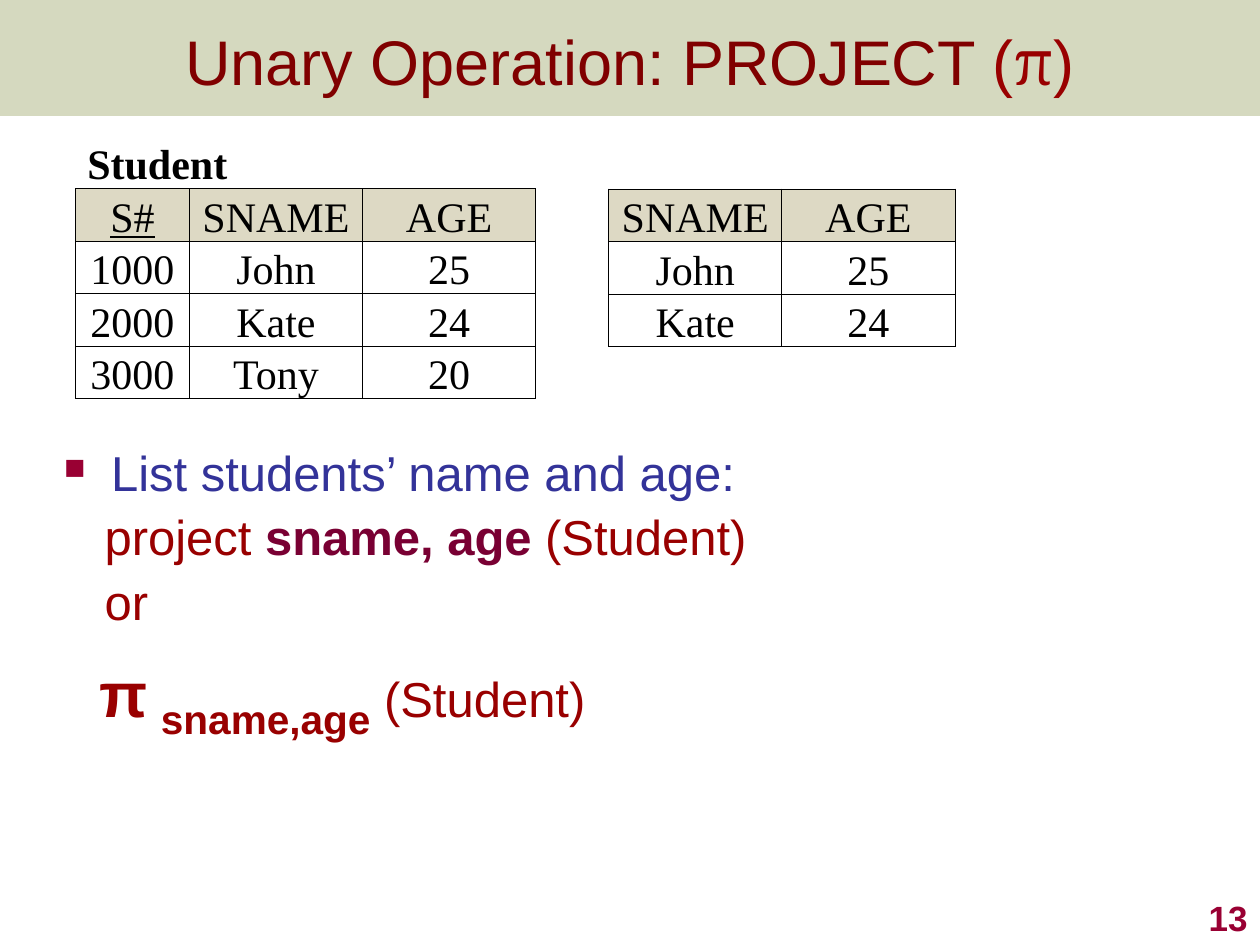
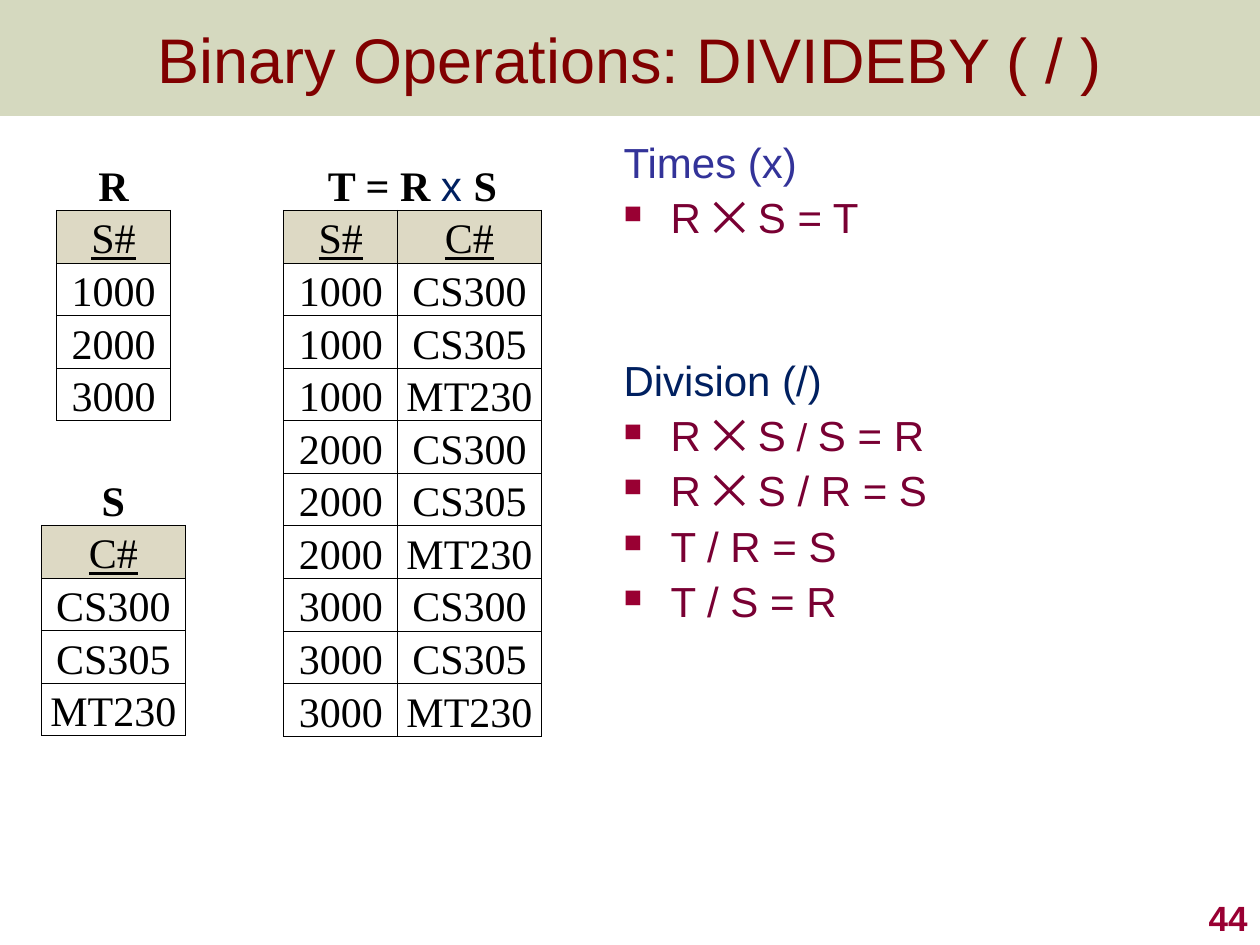
from lxml import etree
from pptx import Presentation
from pptx.dml.color import RGBColor
from pptx.enum import shapes, text
from pptx.oxml import ns
from pptx.util import Cm, Pt

RED, PLUM, BLUE, NAVY = "990000", "790033", "333399", "002060"
TITLE, ROSE, OLIVE, SAND = "800000", "990033", "76822E", "DDD9C4"
SERIF = dict(name="Times New Roman", size=24, hue="000000")
HEAD = dict(SERIF, bold=True)
WIDE, TALL, BAND = 25.4, 19.05, 2.34
ROW, NUM, NAME, CODE = 1.06, 2.3, 3.49, 2.89

# Content: a run is (text, font); a line is (runs, layout)
ids = ["1000", "2000", "3000"]
codes = ["CS300", "CS305", "MT230"]
people = [("John", "25"), ("Kate", "24"), ("Tony", "20")]


def rule(words):
    return [(words, dict(hue=PLUM, size=24))], dict(bullet=True)


SLIDES = [
    dict(
        title=[("Unary Operation: PROJECT ", dict(hue=TITLE)), ("(", dict(hue=RED)),
               ("π", dict(hue=RED, name="Cambria")), (")", dict(hue=RED))],
        drop=0.08,
        page="13",
        body=(1.04, 8.92, 24.1, 7.82),
        lines=[
            ([("List students’ name and age:", dict(hue=BLUE))], dict(bullet=True)),
            ([("project ", {}), ("sname, age ", dict(hue=PLUM, bold=True)),
              ("(Student)", {})], dict(left=0.82)),
            ([("or", {})], dict(left=0.82)),
            ([("π", dict(size=36, bold=True)), (" ", {}),
              ("sname,age", dict(size=40, bold=True, sub=True)),
              (" (Student)", {})], dict(left=0.71, before=10)),
        ],
        gap=6.7,
        tables=[
            dict(at=(1.52, 2.74), cols=[NUM, NAME, NAME], label=[("Student", HEAD)],
                 span=2, rows=[("S#", "SNAME", "AGE")]
                 + [(i, *who) for i, who in zip(ids, people)]),
            dict(at=(12.27, 3.81), cols=[NAME, NAME],
                 rows=[("SNAME", "AGE")] + people[:2]),
        ],
    ),
    dict(
        title=[("Binary Operations: DIVIDEBY ( / )", dict(hue=TITLE))],
        drop=0,
        page="44",
        body=(12.32, 2.74, 12.45, 15.24),
        lines=[
            ([("Times (x)", dict(hue=BLUE, size=24))], {}),
            rule("R ⨉ S = T"),
            ([("Division (/)", dict(hue=NAVY, size=24))], dict(before=67)),
            ([("R ⨉ S", dict(hue=PLUM, size=24)), (" / ", dict(hue=PLUM, size=22)),
              ("S = R", dict(hue=PLUM, size=24))], dict(bullet=True)),
            rule("R ⨉ S / R = S"),
            rule("T / R = S"),
            rule("T / S = R"),
        ],
        gap=5.7,
        tables=[
            dict(at=(1.14, 3.18), cols=[NUM], label=[("R", HEAD)],
                 rows=[("S#",)] + [(i,) for i in ids]),
            dict(at=(0.84, 9.53), cols=[CODE], label=[("S", HEAD)],
                 rows=[("C#",)] + [(c,) for c in codes]),
            dict(at=(5.72, 3.18), cols=[NUM, CODE], span=2,
                 label=[("T = R ", HEAD), ("x ", dict(size=24, hue=NAVY)), ("S", HEAD)],
                 rows=[("S#", "C#")] + [(i, c) for i in ids for c in codes]),
        ],
    ),
]


def rgb(code):
    return RGBColor.from_string(code)


def sub(parent, tag, **attrs):
    return etree.SubElement(parent, ns.qn("a:" + tag), **attrs)


def write(para, runs, **base):
    for words, font in runs:
        look = {**dict(name="Arial", size=28, hue=RED), **base, **font}
        run = para.add_run()
        run.text = words
        run.font.name, run.font.size = look["name"], Pt(look["size"])
        run.font.color.rgb = rgb(look["hue"])
        run.font.bold = look.get("bold", False)
        run.font.underline = look.get("line", False)
        if look.get("sub"):
            run._r.get_or_add_rPr().set("baseline", "-25000")


def box(slide, place, anchor):
    frame = slide.shapes.add_textbox(*map(Cm, place)).text_frame
    frame.word_wrap = True
    frame.vertical_anchor = anchor
    return frame


def frame_up(slide, title, drop, page):
    # Band, title and page number
    band = slide.shapes.add_shape(shapes.MSO_SHAPE.RECTANGLE, 0, 0, Cm(WIDE), Cm(BAND))
    band.shadow.inherit = False
    band.line.fill.background()
    band.fill.solid()
    band.fill.fore_color.rgb = rgb(OLIVE)
    sub(band.fill._xPr.find(".//" + ns.qn("a:srgbClr")), "alpha", val="30000")

    para = box(slide, (0, drop, WIDE, BAND - drop), text.MSO_ANCHOR.MIDDLE).paragraphs[0]
    para.alignment = text.PP_ALIGN.CENTER
    write(para, title, size=36)

    para = box(slide, (20.12, 17.78, 5.28, 1.27), text.MSO_ANCHOR.BOTTOM).paragraphs[0]
    para.alignment = text.PP_ALIGN.RIGHT
    write(para, [(page, dict(size=20, hue=ROSE, bold=True))])


def fill_body(slide, place, lines, gap):
    frame = box(slide, place, text.MSO_ANCHOR.TOP)
    frame.margin_right = 0
    for i, (runs, form) in enumerate(lines):
        para = frame.add_paragraph() if i else frame.paragraphs[0]
        para.line_spacing = 0.9
        if i:
            para.space_before = Pt(form.get("before", gap))
        props = para._p.get_or_add_pPr()
        left = Cm(form.get("left", 0))
        if form.get("bullet"):
            left = Cm(0.95)
            props.set("indent", str(-left))
            sub(sub(props, "buClr"), "srgbClr", val=ROSE)
            sub(props, "buSzPct", val="60000")
            sub(props, "buChar", char="■")
        props.set("marL", str(left))
        write(para, runs)


def style(cell, hue, sides):
    # Thin black borders on the named sides, none on the others
    props = cell._tc.get_or_add_tcPr()
    for side in "LRTB":
        line = sub(props, "ln" + side, w=str(Pt(0.5)))
        if side in sides:
            sub(sub(line, "solidFill"), "srgbClr", val="000000")
        else:
            sub(line, "noFill")
    cell.fill.solid()
    cell.fill.fore_color.rgb = rgb(hue)
    cell.vertical_anchor = text.MSO_ANCHOR.BOTTOM
    cell.margin_left = cell.margin_right = cell.margin_top = Cm(0.03)
    cell.margin_bottom = 0


def add_grid(slide, at, cols, rows, label=None, span=1):
    top = 1 if label else 0
    count = len(rows) + top
    grid = slide.shapes.add_table(count, len(cols), *map(Cm, at),
                                  Cm(sum(cols)), Cm(ROW * count)).table
    grid.first_row = grid.horz_banding = False
    for col, width in zip(grid.columns, cols):
        col.width = Cm(width)
    for row in grid.rows:
        row.height = Cm(ROW)

    # Caption row
    if label:
        for c in range(len(cols)):
            style(grid.cell(0, c), "FFFFFF", "B")
        first = grid.cell(0, 0)
        if span > 1:
            first.merge(grid.cell(0, span - 1))
        para = first.text_frame.paragraphs[0]
        if span < len(cols):
            first.margin_left = Cm(0.24)
        else:
            para.alignment = text.PP_ALIGN.CENTER
        write(para, label)

    # Heading and data rows
    for r, row in enumerate(rows):
        for c, words in enumerate(row):
            cell = grid.cell(r + top, c)
            style(cell, "FFFFFF" if r else SAND, "LRTB")
            para = cell.text_frame.paragraphs[0]
            para.alignment = text.PP_ALIGN.CENTER
            write(para, [(words, SERIF)], line=words.endswith("#"))


def main():
    deck = Presentation()
    deck.slide_width, deck.slide_height = Cm(WIDE), Cm(TALL)
    for page in SLIDES:
        slide = deck.slides.add_slide(deck.slide_layouts[6])
        frame_up(slide, page["title"], page["drop"], page["page"])
        fill_body(slide, page["body"], page["lines"], page["gap"])
        for grid in page["tables"]:
            add_grid(slide, **grid)
    deck.save("out.pptx")


if __name__ == "__main__":
    main()
